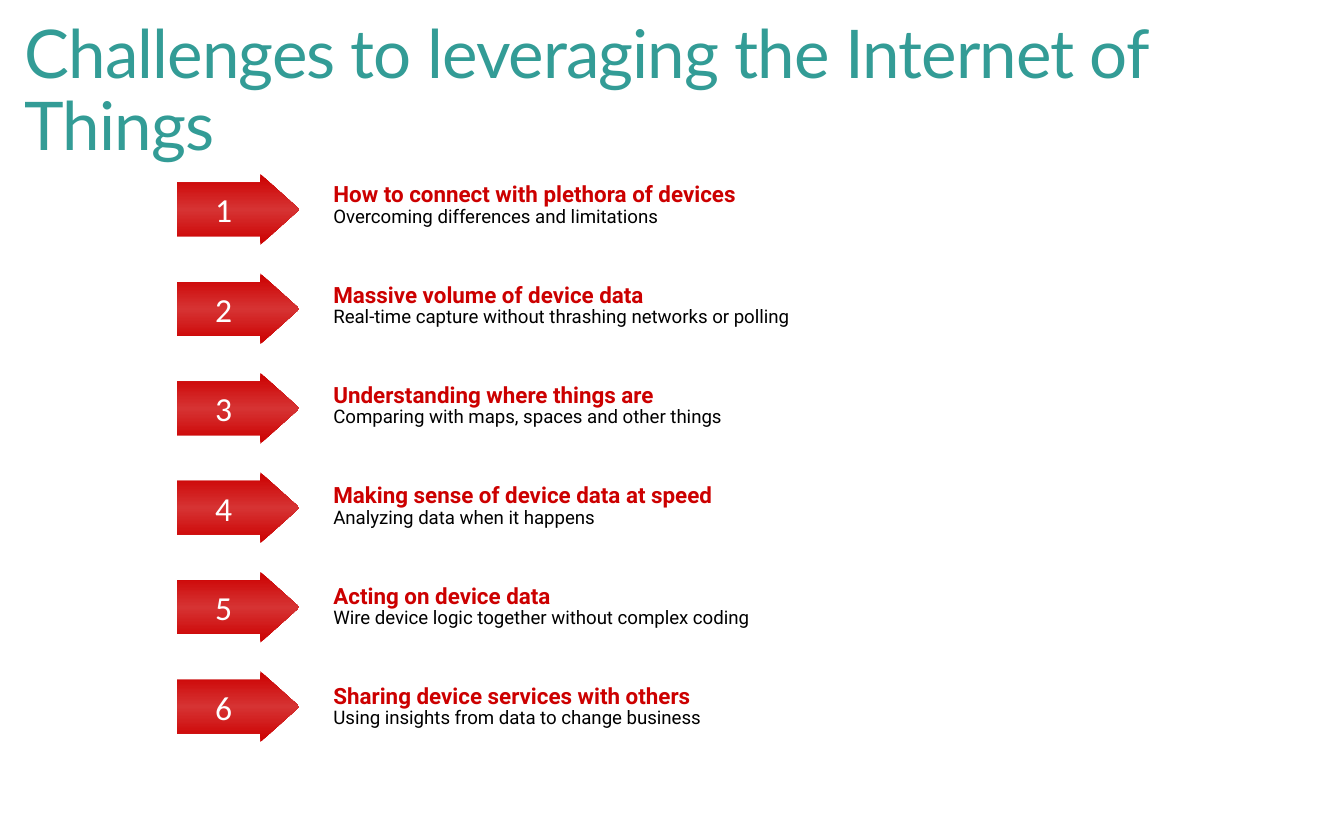
from copy import deepcopy

from pptx import Presentation
from pptx.dml.color import RGBColor
from pptx.enum.shapes import MSO_SHAPE
from pptx.enum.text import MSO_ANCHOR, PP_ALIGN
from pptx.oxml.ns import qn
from pptx.util import Cm, Pt

TEAL = RGBColor(0x33, 0x9C, 0x96)
RED = RGBColor(0xCC, 0x00, 0x00)
ROSE = RGBColor(0xD6, 0x33, 0x33)
BLACK = RGBColor(0x00, 0x00, 0x00)
WHITE = RGBColor(0xFF, 0xFF, 0xFF)

TITLE = "Challenges to leveraging the Internet of Things"
ITEMS = [
    ("How to connect with plethora of devices",
     "Overcoming differences and limitations"),
    ("Massive volume of device data",
     "Real-time capture without thrashing networks or polling"),
    ("Understanding where things are",
     "Comparing with maps, spaces and other things"),
    ("Making sense of device data at speed",
     "Analyzing data when it happens"),
    ("Acting on device data",
     "Wire device logic together without complex coding"),
    ("Sharing device services with others",
     "Using insights from data to change business"),
]


def write(para, text, font, size, color, bold=False, align=PP_ALIGN.LEFT,
          line=None, track=0):
    """Put one formatted run of text into a paragraph."""
    para.alignment = align
    para.line_spacing = line
    run = para.add_run()
    run.text = text
    run.font.name = font
    run.font.size = Pt(size)
    run.font.bold = bold
    run.font.color.rgb = color
    if track:
        run.font._element.set("spc", str(int(track * 100)))


def add_title(slide, box, text):
    """Add the slide title in the given box."""
    frame = slide.shapes.add_textbox(*box).text_frame
    frame.word_wrap = True
    frame.margin_left = frame.margin_right = Cm(0.19)
    frame.margin_top = frame.margin_bottom = Cm(0.1)
    write(frame.paragraphs[0], text, "Lato", 36, TEAL, line=0.9, track=-0.5)


def add_list(slide, box, items):
    """Add a one-column table with a heading and a detail in each row."""
    table = slide.shapes.add_table(len(items), 1, *box).table
    table.first_row = table.horz_banding = False
    for row, (head, detail) in enumerate(items):
        cell = table.cell(row, 0)
        cell.fill.background()
        cell.margin_left = cell.margin_right = Cm(0.25)
        cell.margin_top = cell.margin_bottom = Cm(0.1)
        frame = cell.text_frame
        write(frame.paragraphs[0], head, "Roboto", 12, RED, bold=True, line=0.9)
        write(frame.add_paragraph(), detail, "Roboto", 10, BLACK, line=0.9)


def shade(shape):
    """Fill a shape with a vertical red gradient, lighter in the middle."""
    shape.fill.gradient()
    shape.fill.gradient_angle = 90
    stops = shape._element.spPr.find(".//" + qn("a:gsLst"))
    stops.insert(1, deepcopy(stops[0]))
    looks = zip(shape.fill.gradient_stops, (0, 0.5, 1), (RED, ROSE, RED))
    for stop, place, color in looks:
        stop.position = place
        stop.color.rgb = color


def add_arrows(slide, box, count, pitch):
    """Add a column of numbered arrows, the first one in the given box."""
    left, top, width, height = box
    for i in range(count):
        arrow = slide.shapes.add_shape(
            MSO_SHAPE.RIGHT_ARROW, left, top + i * pitch, width, height)
        arrow.adjustments[0] = 0.754
        arrow.adjustments[1] = 0.552
        arrow.shadow.inherit = False
        arrow.line.fill.background()
        shade(arrow)
        frame = arrow.text_frame
        frame.word_wrap = False
        frame.vertical_anchor = MSO_ANCHOR.MIDDLE
        write(frame.paragraphs[0], str(i + 1), "Calibri", 18, WHITE,
              align=PP_ALIGN.CENTER)


def main():
    """Build and save the slide."""
    deck = Presentation()
    deck.slide_width, deck.slide_height = Cm(25.4), Cm(15.88)
    slide = deck.slides.add_slide(deck.slide_layouts[6])
    add_title(slide, (Cm(0.28), Cm(0.28), Cm(24.13), Cm(2.95)), TITLE)
    add_list(slide, (Cm(6.05), Cm(3.38), Cm(17.27), Cm(11.38)), ITEMS)
    add_arrows(slide, (Cm(3.35), Cm(3.29), Cm(2.31), Cm(1.34)),
               len(ITEMS), Cm(1.88))
    deck.save("out.pptx")


if __name__ == "__main__":
    main()
